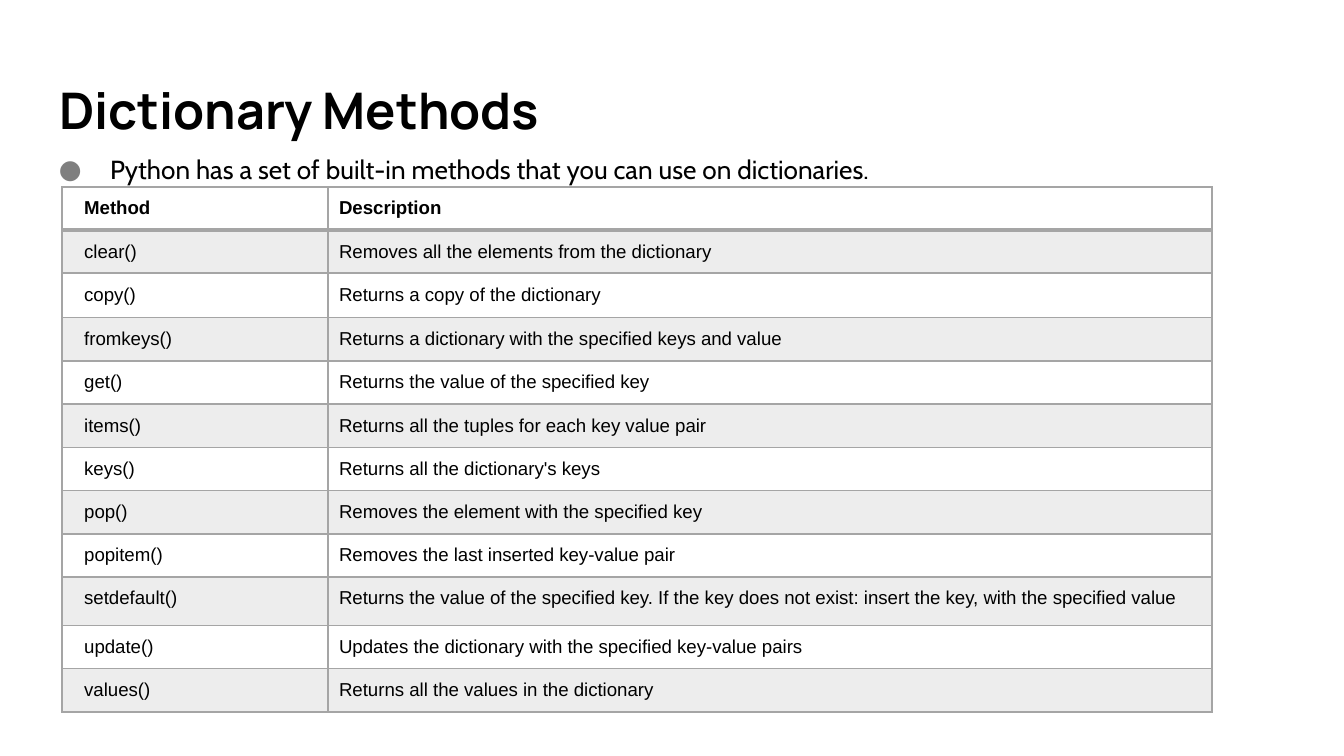
from lxml.etree import SubElement
from pptx import Presentation
from pptx.dml.color import RGBColor
from pptx.enum.text import MSO_ANCHOR as Anchor, MSO_AUTO_SIZE as AutoSize, PP_ALIGN as Align
from pptx.oxml.ns import qn
from pptx.util import Inches, Pt

COLORS = {"text": "000000", "rule": "A5A5A5", "bullet": "7F7F7F"}
WIDTH = 10
HEIGHT = WIDTH * 9 / 16
METHODS = [
    ("Method", "Description"),
    ("clear()", "Removes all the elements from the dictionary"),
    ("copy()", "Returns a copy of the dictionary"),
    ("fromkeys()", "Returns a dictionary with the specified keys and value"),
    ("get()", "Returns the value of the specified key"),
    ("items()", "Returns all the tuples for each key value pair"),
    ("keys()", "Returns all the dictionary's keys"),
    ("pop()", "Removes the element with the specified key"),
    ("popitem()", "Removes the last inserted key-value pair"),
    ("setdefault()", "Returns the value of the specified key. If the key does not exist: "
                     "insert the key, with the specified value"),
    ("update()", "Updates the dictionary with the specified key-value pairs"),
    ("values()", "Returns all the values in the dictionary"),
]
ROW_HEIGHT = 0.31
TALL_ROWS = {"copy()": 0.33, "setdefault()": 0.36}


class Deck:
    """Holds the style and the current slide; boxes are shares of the slide."""

    def __init__(self):
        self.prs = Presentation()
        self.prs.slide_width, self.prs.slide_height = Inches(WIDTH), Inches(HEIGHT)
        self.s = self.prs.slides.add_slide(self.prs.slide_layouts[5])

    def box(self, x, y, w, h):
        sw, sh = self.prs.slide_width, self.prs.slide_height
        return int(x * sw), int(y * sh), int(w * sw), int(h * sh)

    def format(self, p, font, size, bold=False):
        p.alignment = Align.LEFT
        for r in p.runs:
            r.font.name, r.font.size, r.font.bold = font, Pt(size), bold
            r.font.color.rgb = RGBColor.from_string(COLORS["text"])

    def frame(self, tf, text):
        tf.text = text
        tf.word_wrap, tf.auto_size = True, AutoSize.NONE
        tf.vertical_anchor = Anchor.TOP
        tf.margin_left = tf.margin_right = Inches(0.1)
        tf.margin_top = tf.margin_bottom = Inches(0.1)
        return tf.paragraphs[0]

    def title(self, text, *box):
        sp = self.s.shapes.title
        sp.left, sp.top, sp.width, sp.height = self.box(*box)
        self.format(self.frame(sp.text_frame, text), "Manrope", 27, True)

    def bullet(self, text, *box):
        sp = self.s.shapes.add_textbox(*self.box(*box))
        p = self.frame(sp.text_frame, text)
        p.line_spacing = 1.15
        pPr = p._p.get_or_add_pPr()
        pPr.set("marL", str(Inches(0.38)))
        pPr.set("indent", str(-Inches(0.38)))
        color = SubElement(pPr, qn("a:buClr"))
        SubElement(color, qn("a:srgbClr"), val=COLORS["bullet"])
        SubElement(pPr, qn("a:buFont"), typeface="Cabin")
        SubElement(pPr, qn("a:buChar"), char="●")
        self.format(p, "Cabin", 14)

    def borders(self, cell, row):
        widths = {"L": 1, "R": 1, "T": 2 if row == 1 else 1, "B": 2 if row == 0 else 1}
        for side, width in widths.items():
            ln = SubElement(cell._tc.get_or_add_tcPr(), qn(f"a:ln{side}"), w=str(Pt(width)))
            fill = SubElement(ln, qn("a:solidFill"))
            SubElement(fill, qn("a:srgbClr"), val=COLORS["rule"])

    def cell(self, cell, text, row, col):
        cell.text = text
        cell.margin_left = Pt(6 if col else 12)
        cell.margin_right = cell.margin_top = cell.margin_bottom = Pt(6)
        cell.vertical_anchor = Anchor.TOP
        self.format(cell.text_frame.paragraphs[0], "Arial", 10, row == 0)
        self.borders(cell, row)
        # Every other row has a light tint
        if row % 2:
            cell.fill.solid()
            cell.fill.fore_color.rgb = RGBColor.from_string(COLORS["rule"])
            color = cell._tc.tcPr.find(qn("a:solidFill")).find(qn("a:srgbClr"))
            SubElement(color, qn("a:alpha"), val="20000")
        else:
            cell.fill.background()

    def table(self, data, columns, *box):
        table = self.s.shapes.add_table(len(data), len(columns), *self.box(*box)).table
        table.first_row = table.horz_banding = False
        for column, width in zip(table.columns, columns):
            column.width = Inches(width)
        for i, values in enumerate(data):
            table.rows[i].height = Inches(TALL_ROWS.get(values[0], ROW_HEIGHT))
            for j, text in enumerate(values):
                self.cell(table.cell(i, j), text, i, j)


def main():
    deck = Deck()
    # Heading and introduction
    deck.title("Dictionary Methods", 0.034, 0.49 / HEIGHT, 0.932, 0.68 / HEIGHT)
    deck.bullet("Python has a set of built-in methods that you can use on dictionaries.",
                0.034, 1.01 / HEIGHT, 0.765, 0.49 / HEIGHT)
    # Table of methods
    deck.table(METHODS, (1.98, 6.58), 0.046, 1.39 / HEIGHT, 0.856, 4.03 / HEIGHT)
    deck.prs.save("out.pptx")


if __name__ == "__main__":
    main()
